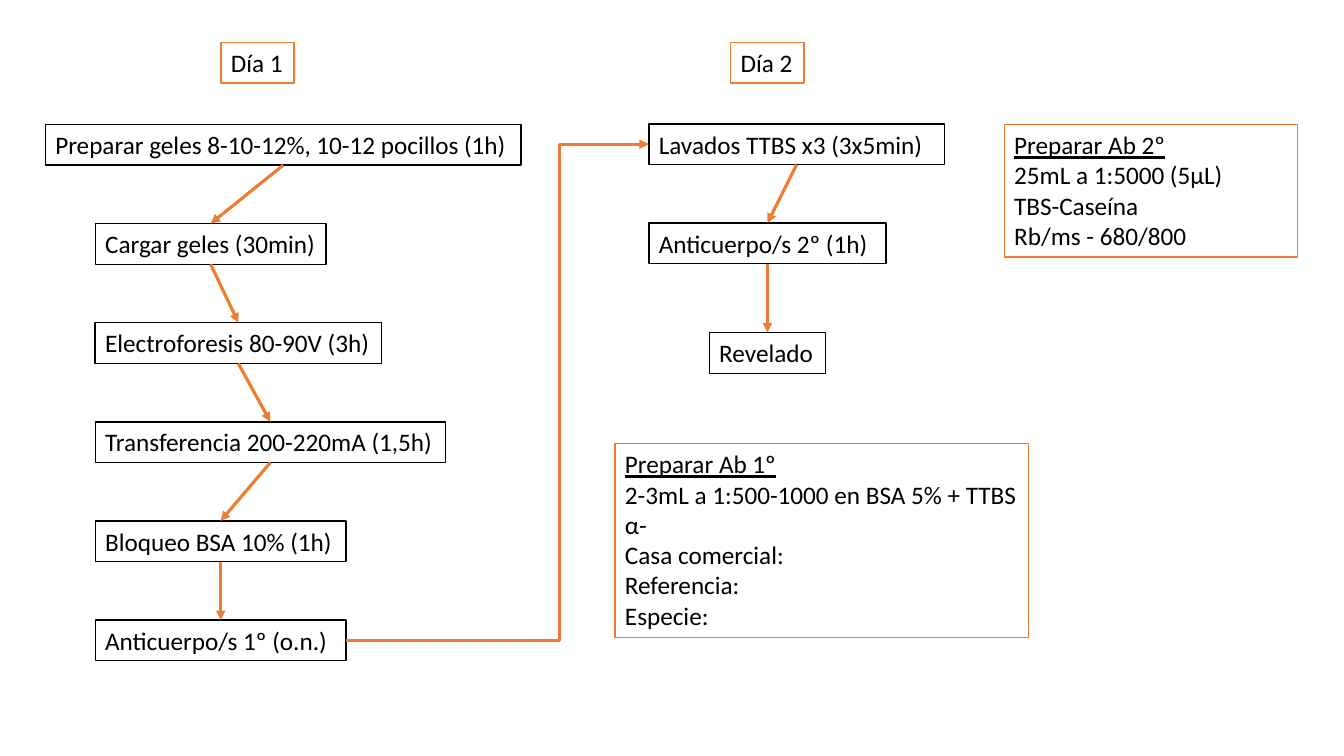
import itertools

import pptx
import pptx.dml.color
import pptx.enum.shapes
import pptx.enum.text
import pptx.util
from lxml import etree
from pptx.oxml.ns import qn

Pt = pptx.util.Pt
COLORS = {"white": "FFFFFF", "black": "000000", "orange": "ED7D31"}
TOP, BOTTOM, LEFT, RIGHT = 0, 2, 1, 3  # connection sites of a rectangle


class Diagram:
    font = "Calibri"
    size = 18
    row_height = 29.1

    def __init__(self, slide):
        self.slide = slide

    def color(self, name):
        return pptx.dml.color.RGBColor.from_string(COLORS[name])

    def box(self, x, y, w, lines, line="black", h=row_height, wrap=True, title=False):
        """Framed text; with title, the first line is underlined."""
        sp = self.slide.shapes.add_textbox(Pt(x), Pt(y), Pt(w), Pt(h))
        sp.fill.solid()
        sp.fill.fore_color.rgb = self.color("white")
        sp.line.color.rgb = self.color(line)
        sp.line.width = Pt(1)
        tf = sp.text_frame
        tf.word_wrap = wrap
        tf.auto_size = pptx.enum.text.MSO_AUTO_SIZE.SHAPE_TO_FIT_TEXT
        for i, text in enumerate(lines):
            p = tf.add_paragraph() if i else tf.paragraphs[0]
            r = p.add_run()
            r.text = text
            r.font.name = self.font
            r.font.size = Pt(self.size)
            r.font.color.rgb = self.color("black")
            if title and i == 0:
                r.font.underline = True
        return sp

    def arrow(self, start, end, sites=(BOTTOM, TOP), bend=None):
        """Arrow glued to two boxes; bend is the elbow's share of the width."""
        kinds = pptx.enum.shapes.MSO_CONNECTOR
        kind = kinds.STRAIGHT if bend is None else kinds.ELBOW
        cxn = self.slide.shapes.add_connector(kind, 0, 0, 0, 0)
        cxn.begin_connect(start, sites[0])
        cxn.end_connect(end, sites[1])
        cxn.line.color.rgb = self.color("orange")
        cxn.line.width = Pt(2.25)
        sp_pr = cxn._element.spPr
        etree.SubElement(sp_pr.find(qn("a:ln")), qn("a:tailEnd"), type="triangle")
        etree.SubElement(sp_pr, qn("a:effectLst"))
        if bend is not None:
            av = sp_pr.find(qn("a:prstGeom")).find(qn("a:avLst"))
            etree.SubElement(av, qn("a:gd"), name="adj1",
                             fmla=f"val {round(bend * 100000)}")

    def flow(self, boxes):
        for start, end in itertools.pairwise(boxes):
            self.arrow(start, end)


prs = pptx.Presentation()
prs.slide_width, prs.slide_height = Pt(960), Pt(540)
s = Diagram(prs.slides.add_slide(prs.slide_layouts[6]))

# Steps of each day: left, width, text
FIRST_Y, STEP = 88.9, 70.8
DAY_1 = [
    (32.4, 339.8, "Preparar geles 8-10-12%, 10-12 pocillos (1h)"),
    (68, 165, "Cargar geles (30min)"),
    (68, 204.5, "Electroforesis 80-90V (3h)"),
    (68, 250.2, "Transferencia 200-220mA (1,5h)"),
    (68, 179.3, "Bloqueo BSA 10% (1h)"),
    (68, 179.3, "Anticuerpo/s 1º (o.n.)"),
]
day_1 = [s.box(x, FIRST_Y + i * STEP, w, [text])
         for i, (x, w, text) in enumerate(DAY_1)]

DAY_2 = [
    (463.5, 88.5, 211, "Lavados TTBS x3 (3x5min)"),
    (463.5, 159.3, 169.4, "Anticuerpo/s 2º (1h)"),
    (506.7, 237.5, 83, "Revelado"),
]
day_2 = [s.box(x, y, w, [text]) for x, y, w, text in DAY_2]

# Arrows within each day and from day 1 to day 2
s.arrow(day_1[-1], day_2[0], (RIGHT, LEFT), bend=0.704)
s.flow(day_1)
s.flow(day_2)

# Day headings
for x, text in [(157.9, "Día 1"), (522, "Día 2")]:
    s.box(x, 30.3, 52.2, [text], "orange", wrap=False)

# Antibody notes
s.box(439.3, 317, 295.4, [
    "Preparar Ab 1º",
    "2-3mL a 1:500-1000 en BSA 5% + TTBS",
    "α-",
    "Casa comercial:",
    "Referencia:",
    "Especie:",
], "orange", h=138.5, title=True)
s.box(717.3, 89, 209.5, [
    "Preparar Ab 2º",
    "25mL a 1:5000 (5µL)",
    "TBS-Caseína",
    "Rb/ms - 680/800",
], "orange", h=94.5, title=True)

prs.save("out.pptx")
